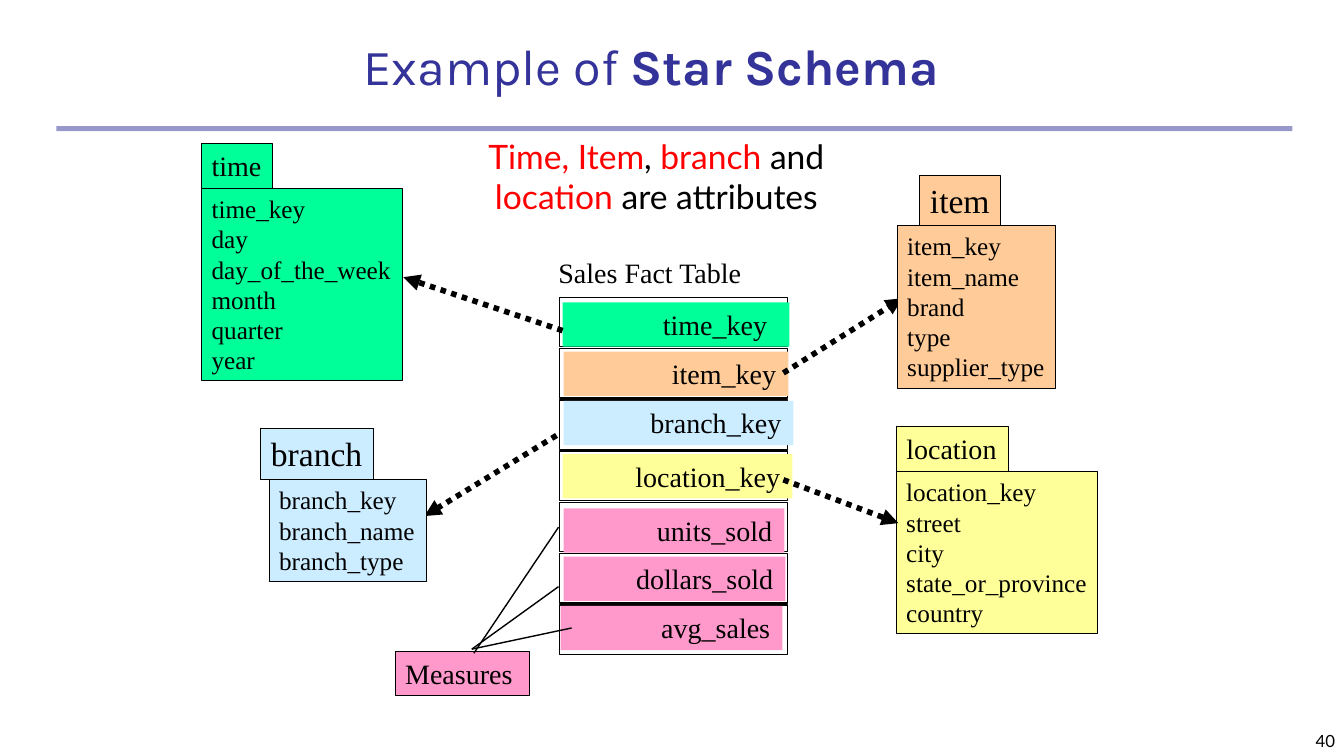
from lxml.etree import SubElement
from pptx import Presentation
from pptx.dml.color import RGBColor
from pptx.enum.dml import MSO_LINE
from pptx.enum.shapes import MSO_CONNECTOR, MSO_SHAPE
from pptx.enum.text import MSO_ANCHOR, PP_ALIGN
from pptx.oxml.ns import qn
from pptx.util import Inches, Pt

SERIF = "Times New Roman"
INK, NAVY, RED = "000000", "333399", "FF0000"
GREEN, PEACH, BLUE, YELLOW, PINK = "00FF99", "FFCC99", "CCECFF", "FFFF99", "FF99CC"


def paint(color, value):
    """Set a colour format from a hex string."""
    color.rgb = RGBColor.from_string(value)


def style(par, size, face=SERIF, color=INK, align=PP_ALIGN.LEFT):
    """Set the font and alignment of a paragraph."""
    par.font.size, par.font.name = Pt(size), face
    paint(par.font.color, color)
    par.alignment = align


def write(shape, lines, size, wrap=False, anchor=MSO_ANCHOR.TOP, **look):
    """Fill a shape with one paragraph per line."""
    frame = shape.text_frame
    frame.word_wrap, frame.vertical_anchor = wrap, anchor
    frame.text = "\n".join(lines)
    for par in frame.paragraphs:
        style(par, size, **look)


def label(slide, box, lines, size, **look):
    """Add a text box."""
    shape = slide.shapes.add_textbox(*map(Inches, box))
    write(shape, lines, size, **look)
    return shape


def block(slide, box, fill=None, line=None):
    """Add a plain rectangle; line is its outline width in points."""
    shape = slide.shapes.add_shape(MSO_SHAPE.RECTANGLE, *map(Inches, box))
    shape.shadow.inherit = False
    if fill:
        shape.fill.solid()
        paint(shape.fill.fore_color, fill)
    else:
        shape.fill.background()
    if line:
        paint(shape.line.color, INK)
        shape.line.width = Pt(line)
    else:
        shape.line.fill.background()
    return shape


def link(slide, start, end, arrow=False):
    """Draw a thin line, or a thick dotted arrow."""
    line = slide.shapes.add_connector(
        MSO_CONNECTOR.STRAIGHT, *map(Inches, start + end))
    paint(line.line.color, INK)
    line.line.width = Pt(4 if arrow else 1)
    if arrow:
        line.line.dash_style = MSO_LINE.ROUND_DOT
        SubElement(line.line._get_or_add_ln(), qn("a:tailEnd"), type="triangle")
    SubElement(line._element.spPr, qn("a:effectLst"))


def header(slide, box):
    """Place the title and the rule below it."""
    left, top, width, height = box
    rule = block(slide, (0.56, top + 0.8, 12.26, 0.05), NAVY)
    tint = rule._element.spPr.find(".//" + qn("a:srgbClr"))
    SubElement(tint, qn("a:alpha"), val="50000")
    title = slide.shapes.title
    title.left, title.top, title.width, title.height = map(Inches, box)
    write(title, [""], 36, wrap=True, anchor=MSO_ANCHOR.BOTTOM,
          face="Karla", color=NAVY, align=PP_ALIGN.CENTER)
    par = title.text_frame.paragraphs[0]
    par.add_run().text = "Example of "
    strong = par.add_run()
    strong.text, strong.font.bold = "Star Schema", True


def note(slide, box):
    """Write the remark with its attribute names in red."""
    par = label(slide, box, [""], 24, wrap=True).text_frame.paragraphs[0]
    style(par, 24, "Lato", align=PP_ALIGN.CENTER)
    parts = ["Time, Item", ", ", "branch", " and ", "location", " are attributes"]
    for spot, text in enumerate(parts):
        run = par.add_run()
        run.text = text
        paint(run.font.color, INK if spot % 2 else RED)


def card(slide, box, fill, name, fields, tab, size=20, align=PP_ALIGN.LEFT):
    """Draw a dimension: its fields, and a name tab (shift, width, height) on top."""
    left, top = box[:2]
    write(block(slide, box, fill, 0.75), fields, 18)
    shift, width, height = tab
    flap = block(slide, (left + shift, top - height, width, height), fill, 0.75)
    write(flap, [name], size, align=align)


def facts(slide, box):
    """Draw the fact table: framed cells with a coloured key in each."""
    left, top, width, height = box
    label(slide, (left - 0.11, top - 0.46, 2.03, 0.44), ["Sales Fact Table"], 20)
    rows = [
        ("time_key", GREEN, 0.03, 0.05, 2.25, 0.22),
        ("item_key", PEACH, 0.04, 0.03, 2.23, 0.12),
        ("branch_key", BLUE, 0.04, 0.01, 2.28, 0.12),
        ("location_key", YELLOW, 0.03, 0.03, 2.28, 0.12),
        ("units_sold", PINK, 0.04, 0.06, 2.19, 0.12),
        ("dollars_sold", PINK, 0.04, 0.03, 2.2, 0.12),
        ("avg_sales", PINK, 0.01, 0.01, 2.2, 0.12),
    ]
    pitch = height / len(rows)
    for spot, (name, fill, right, down, span, inset) in enumerate(rows):
        row = top + spot * pitch
        block(slide, (left, row, width, 0.49), line=1)
        key = block(slide, (left + right, row + down, span, 0.44), fill)
        key.text_frame.margin_right = Inches(inset)
        write(key, [name], 20, wrap=True, align=PP_ALIGN.RIGHT)


def sums(slide, box):
    """Draw the measures label and its lines to the fact table."""
    write(block(slide, box, PINK, 0.75), ["Measures"], 20, wrap=True)
    left, top = box[:2]
    for start, end in [((0.78, 0.02), (1.62, -1.23)),
                       ((0.76, -0.02), (1.62, -0.64)),
                       ((0.76, -0.02), (1.75, -0.23))]:
        link(slide, (left + start[0], top + start[1]),
             (left + end[0], top + end[1]))


def arrows(slide):
    """Point from the keys to their dimensions."""
    for start, end in [((5.52, 4.32), (4.21, 5.12)),
                       ((5.58, 3.28), (4, 2.75)),
                       ((7.77, 4.76), (8.91, 5.19)),
                       ((7.77, 3.7), (8.95, 2.96))]:
        link(slide, start, end, arrow=True)


def main():
    """Build and save the slide."""
    deck = Presentation()
    deck.slide_width, deck.slide_height = Inches(13.33), Inches(7.5)
    slide = deck.slides.add_slide(deck.slide_layouts[5])
    header(slide, (2.21, 0.45, 8.5, 0.55))
    label(slide, (10.56, 7, 2.78, 0.5), ["40"], 12, wrap=True,
          anchor=MSO_ANCHOR.BOTTOM, face="Lato", align=PP_ALIGN.RIGHT)
    card(slide, (2, 1.87, 1.99, 1.91), GREEN, "time",
         ["time_key", "day", "day_of_the_week", "month", "quarter", "year"],
         (0, 0.7, 0.45))
    card(slide, (8.89, 4.68, 2, 1.61), YELLOW, "location",
         ["location_key", "street", "city", "state_or_province", "country"],
         (0, 1.11, 0.45))
    facts(slide, (5.55, 2.95, 2.26, 3.56))
    sums(slide, (3.92, 6.46, 1.33, 0.44))
    arrows(slide)
    card(slide, (8.9, 2.24, 1.57, 1.61), PEACH, "item",
         ["item_key", "item_name", "brand", "type", "supplier_type"],
         (0.22, 0.8, 0.5), 24, PP_ALIGN.CENTER)
    card(slide, (2.67, 4.76, 1.56, 1.01), BLUE, "branch",
         ["branch_key", "branch_name", "branch_type"],
         (-0.09, 1.12, 0.51), 24, PP_ALIGN.CENTER)
    note(slide, (4.44, 1.3, 4.14, 0.91))
    deck.save("out.pptx")


if __name__ == "__main__":
    main()
